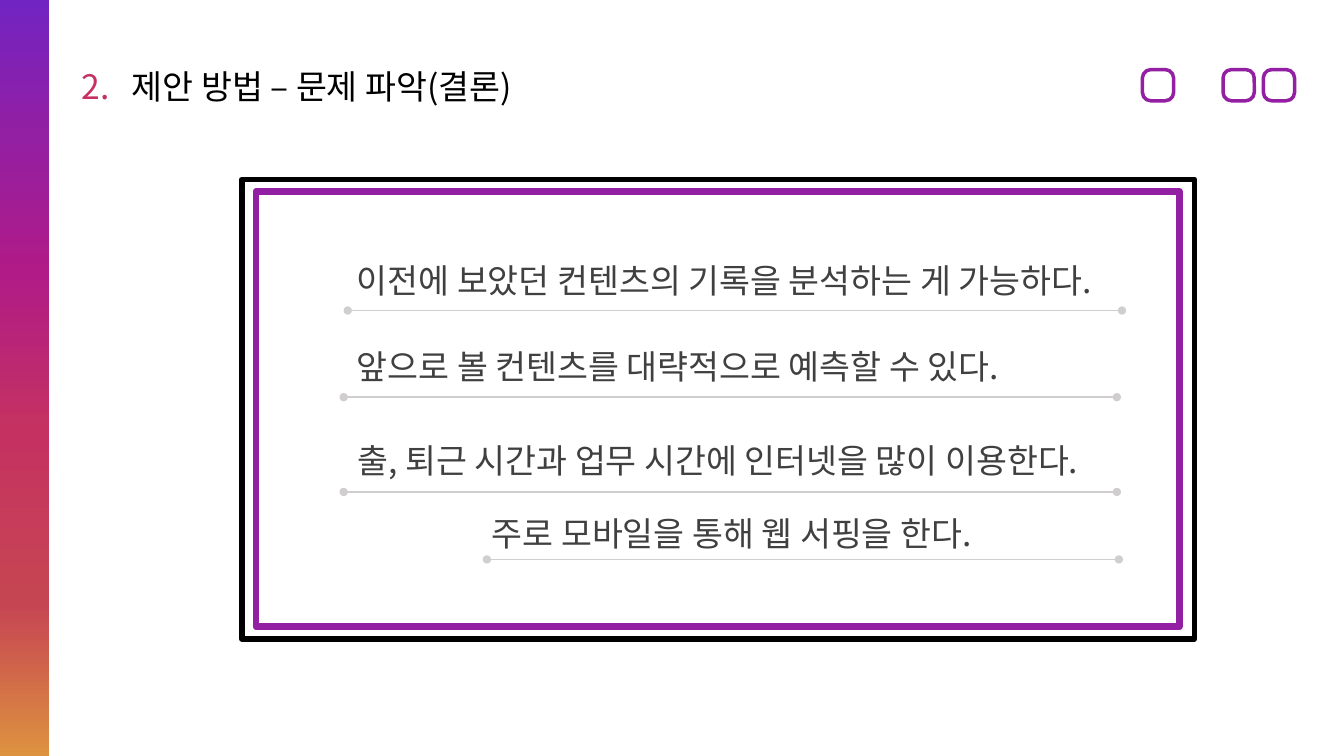
from lxml import etree
from pptx import Presentation
from pptx.dml.color import RGBColor
from pptx.enum.shapes import MSO_CONNECTOR, MSO_SHAPE
from pptx.oxml.ns import qn
from pptx.util import Pt

RECT = MSO_SHAPE.RECTANGLE
ROUND = MSO_SHAPE.ROUNDED_RECTANGLE
STRAIGHT = MSO_CONNECTOR.STRAIGHT

BLACK = RGBColor(0x00, 0x00, 0x00)
WHITE = RGBColor(0xFF, 0xFF, 0xFF)
PURPLE = RGBColor(0x93, 0x1F, 0xA2)
ROSE = RGBColor(0xC5, 0x32, 0x61)
GRAY = RGBColor(0xD0, 0xCE, 0xCE)
DARK = RGBColor(0x40, 0x40, 0x40)
FADE = [
    (0, RGBColor(0x72, 0x24, 0xC2)), (18, PURPLE),
    (36, RGBColor(0xB0, 0x1B, 0x87)), (57, ROSE),
    (80, RGBColor(0xC6, 0x45, 0x52)), (100, RGBColor(0xDD, 0x92, 0x3F)),
]
FONT = "Noto Sans CJK KR"

# Text, left, top, then rule left, right and height, from the frame's corner
POINTS = [
    ("이전에 보았던 컨텐츠의 기록을 분석하는 게 가능하다.", 75, 54, 75.6, 628.6, 93.6),
    ("앞으로 볼 컨텐츠를 대략적으로 예측할 수 있다.", 75, 115.2, 72.7, 625, 155.5),
    ("출, 퇴근 시간과 업무 시간에 인터넷을 많이 이용한다.", 75.6, 182.8, 72.7, 625, 223.2),
    ("주로 모바일을 통해 웹 서핑을 한다.", 171.4, 234.7, 175, 626.4, 271.4),
]


def add_text(slide, box, runs, size=24, tab=None):
    """Place one paragraph made of (text, colour) runs."""
    frame = slide.shapes.add_textbox(*map(Pt, box)).text_frame
    frame.word_wrap = True
    para = frame.paragraphs[0]
    if tab:
        stops = etree.SubElement(para._p.get_or_add_pPr(), qn("a:tabLst"))
        etree.SubElement(stops, qn("a:tab"), pos=str(Pt(tab)), algn="l")
    for text, color in runs:
        run = para.add_run()
        run.text = text
        run.font.size = Pt(size)
        run.font.name = FONT
        run.font.color.rgb = color
        etree.SubElement(run.font._element, qn("a:ea"), typeface=FONT)


def add_box(slide, kind, box, fill=None, line=None, width=0):
    shape = slide.shapes.add_shape(kind, *map(Pt, box))
    shape.shadow.inherit = False
    if fill is None:
        shape.fill.background()
    else:
        shape.fill.solid()
        shape.fill.fore_color.rgb = fill
    if line is None:
        shape.line.fill.background()
    else:
        shape.line.color.rgb = line
        shape.line.width = Pt(width)
    return shape


def add_rule(slide, left, right, y):
    """Draw a level line with a dot at each end."""
    rule = slide.shapes.add_connector(STRAIGHT, Pt(left), Pt(y), Pt(right), Pt(y))
    rule.line.color.rgb = GRAY
    rule.line.width = Pt(1.25)
    for end in ("a:headEnd", "a:tailEnd"):
        etree.SubElement(rule.line._get_or_add_ln(), qn(end), type="oval")
    etree.SubElement(rule._element.spPr, qn("a:effectLst"))


def add_bar(slide, box):
    """Draw the side bar with its colours running down."""
    bar = add_box(slide, RECT, box, fill=PURPLE)
    old = bar._element.spPr.find(qn("a:solidFill"))
    grad = etree.Element(qn("a:gradFill"), rotWithShape="1")
    stops = etree.SubElement(grad, qn("a:gsLst"))
    for pos, color in FADE:
        stop = etree.SubElement(stops, qn("a:gs"), pos=str(pos * 1000))
        etree.SubElement(stop, qn("a:srgbClr"), val=str(color))
    etree.SubElement(grad, qn("a:lin"), ang="5400000", scaled="0")
    bar._element.spPr.replace(old, grad)


def add_marks(slide, box):
    """Draw three round squares on a four-slot row."""
    left, top, width, size = box
    step = (width - size) / 3
    for slot in (0, 2, 3):
        mark = add_box(slide, ROUND, (left + slot * step, top, size, size),
                       line=PURPLE, width=2.5)
        mark.adjustments[0] = 0.27


def add_panel(slide, box):
    """Draw the double frame and its ruled points."""
    left, top, width, height = box
    add_box(slide, RECT, box, fill=WHITE, line=BLACK, width=4)
    add_box(slide, RECT, (left + 10.1, top + 8.6, width - 20.9, height - 17.3),
            line=PURPLE, width=5)
    for text, x, y, start, end, base in POINTS:
        add_rule(slide, left + start, left + end, top + base)
        add_text(slide, (left + x, top + y, 551.5, 36), [(text, DARK)])


def main():
    deck = Presentation()
    deck.slide_width, deck.slide_height = Pt(960), Pt(540)
    slide = deck.slides.add_slide(deck.slide_layouts[6])
    add_text(slide, (51.1, 43.2, 326.2, 36),
             [("2.\t", ROSE), ("제안 방법 – 문제 파악(결론)", BLACK)], tab=36)
    add_bar(slide, (0, 0, 35.2, 540))
    add_panel(slide, (172.8, 128.2, 680.4, 328.3))
    add_marks(slide, (816, 49.7, 108.7, 22.3))
    deck.save("out.pptx")


if __name__ == "__main__":
    main()
